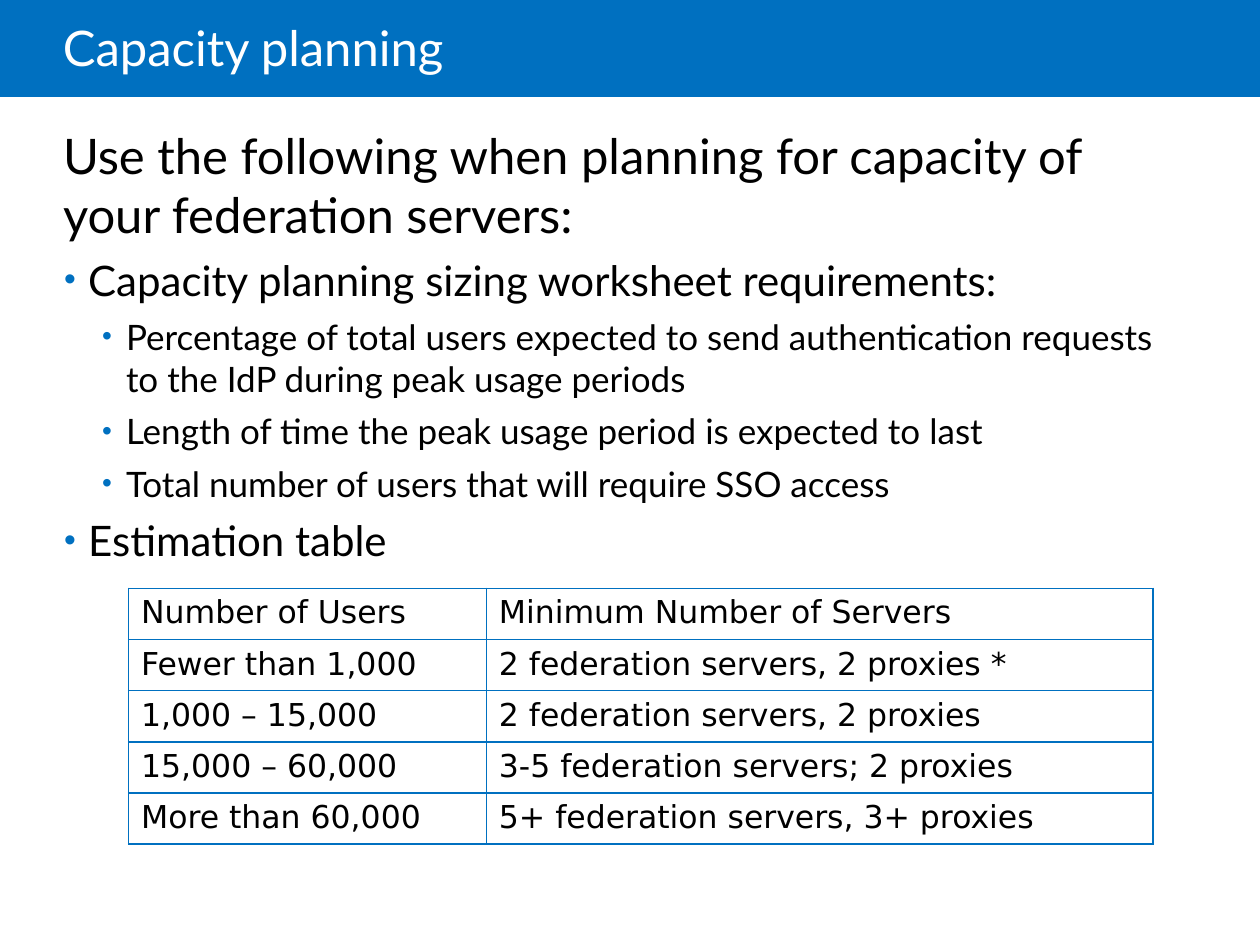
import pptx
import pptx.util
import pptx.dml.color
import pptx.enum.shapes
import pptx.enum.text
import pptx.oxml.ns
import lxml.etree

COLORS = {"accent": "0070C0", "title": "FFFFFF", "text": "000000"}

deck = pptx.Presentation()
deck.slide_width = pptx.util.Inches(10)
deck.slide_height = pptx.util.Inches(7.5)
slide = deck.slides.add_slide(deck.slide_layouts[6])
column = deck.slide_width / 100
row = deck.slide_height / 75


def area(left, top, width, height):
    return int(left * column), int(top * row), int(width * column), int(height * row)


def style(font, size, face, color):
    for name, value in {"size": pptx.util.Pt(size), "name": face}.items():
        setattr(font, name, value)
    font.color.rgb = pptx.dml.color.RGBColor.from_string(COLORS[color])


banner = slide.shapes.add_shape(
    pptx.enum.shapes.MSO_SHAPE.RECTANGLE, *area(0, 0, 100, 7.7))
banner.shadow.inherit = False
banner.fill.solid()
banner.fill.fore_color.rgb = pptx.dml.color.RGBColor.from_string(COLORS["accent"])
banner.line.fill.background()

heading = slide.shapes.add_textbox(*area(5, 0, 85, 8.1)).text_frame
heading_format = {
    "word_wrap": True,
    "margin_left": 0,
    "vertical_anchor": pptx.enum.text.MSO_ANCHOR.MIDDLE,
}
for name, value in heading_format.items():
    setattr(heading, name, value)
heading_line = heading.paragraphs[0]
heading_line.text = "Capacity planning"
heading_line.line_spacing = 0.85
style(heading_line.font, 28, "Lato", "title")

guidance = slide.shapes.add_textbox(*area(5, 10, 88.8, 56.3)).text_frame
guidance_format = {
    "word_wrap": True,
    "margin_left": 0,
    "margin_top": 0,
    "margin_right": 0,
    "margin_bottom": 0,
}
for name, value in guidance_format.items():
    setattr(guidance, name, value)

level_sizes = [28, 24, 20]
level_indents = [0, 0.2, 0.5]
points = [
    (0, "Use the following when planning for capacity of your federation servers:"),
    (1, "Capacity planning sizing worksheet requirements:"),
    (2, "Percentage of total users expected to send authentication requests "
        "to the IdP during peak usage periods"),
    (2, "Length of time the peak usage period is expected to last"),
    (2, "Total number of users that will require SSO access"),
    (1, "Estimation table"),
]
for number, (level, wording) in enumerate(points):
    point = guidance.add_paragraph() if number else guidance.paragraphs[0]
    point.text = wording
    point.level = level
    point.space_before = pptx.util.Pt(6 if number else 0)
    if level:
        properties = point._p.get_or_add_pPr()
        properties.set("marL", str(pptx.util.Inches(level_indents[level])))
        properties.set("indent", str(pptx.util.Inches(-0.19)))
        bullet_color = lxml.etree.SubElement(properties, pptx.oxml.ns.qn("a:buClr"))
        lxml.etree.SubElement(
            bullet_color, pptx.oxml.ns.qn("a:srgbClr"), val=COLORS["accent"])
        lxml.etree.SubElement(properties, pptx.oxml.ns.qn("a:buSzPct"), val="80000")
        lxml.etree.SubElement(properties, pptx.oxml.ns.qn("a:buFont"), typeface="Arial")
        lxml.etree.SubElement(properties, pptx.oxml.ns.qn("a:buChar"), char="•")
    style(point.font, level_sizes[level], "Lato", "text")

estimates = [
    ("Number of Users", "Minimum Number of Servers"),
    ("Fewer than 1,000", "2 federation servers, 2 proxies *"),
    ("1,000 – 15,000", "2 federation servers, 2 proxies"),
    ("15,000 – 60,000", "3-5 federation servers; 2 proxies"),
    ("More than 60,000", "5+ federation servers, 3+ proxies"),
]
estimation = slide.shapes.add_table(
    len(estimates), 2, *area(10.2, 46.7, 81.3, 20.3)).table
for column_index, share in enumerate([28.4, 52.9]):
    estimation.columns[column_index].width = int(share * column)

for row_index, estimate in enumerate(estimates):
    for column_index, wording in enumerate(estimate):
        cell = estimation.cell(row_index, column_index)
        cell.text = wording
        style(cell.text_frame.paragraphs[0].runs[0].font, 18, "DejaVu Sans", "text")
        cell_properties = cell._tc.get_or_add_tcPr()
        for side in ["a:lnL", "a:lnR", "a:lnT", "a:lnB"]:
            border = lxml.etree.SubElement(
                cell_properties, pptx.oxml.ns.qn(side), w=str(pptx.util.Pt(1)))
            border_fill = lxml.etree.SubElement(border, pptx.oxml.ns.qn("a:solidFill"))
            lxml.etree.SubElement(
                border_fill, pptx.oxml.ns.qn("a:srgbClr"), val=COLORS["accent"])
        cell.fill.background()

deck.save("out.pptx")
